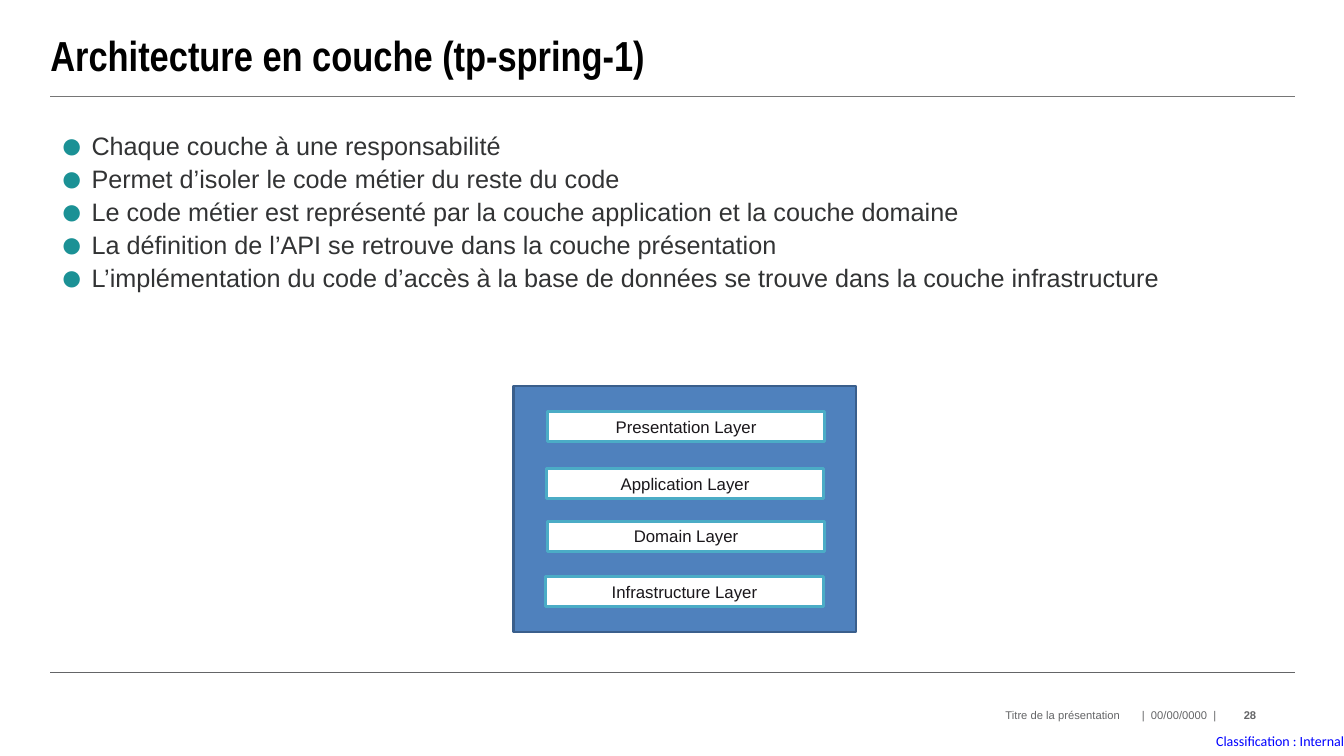
from dataclasses import dataclass

import pptx
import pptx.dml.color
import pptx.enum.shapes
import pptx.enum.text
import pptx.oxml
import pptx.oxml.ns
import pptx.slide
import pptx.text.text
import pptx.util

RGBColor = pptx.dml.color.RGBColor
ALIGN = pptx.enum.text.PP_ALIGN
ANCHOR = pptx.enum.text.MSO_ANCHOR

PX = 9144  # 100 px to the inch

BLACK = RGBColor(0x00, 0x00, 0x00)
WHITE = RGBColor(0xFF, 0xFF, 0xFF)
BODY_INK = RGBColor(0x32, 0x33, 0x34)
LAYER_INK = RGBColor(0x1A, 0x17, 0x1B)
FOOTER_GREY = RGBColor(0x64, 0x65, 0x67)
TITLE_RULE = RGBColor(0x76, 0x76, 0x76)
LINK_BLUE = RGBColor(0x00, 0x00, 0xFF)
TEAL = RGBColor(0x1B, 0x91, 0x95)
STACK_FILL = RGBColor(0x4F, 0x81, 0xBD)
STACK_LINE = RGBColor(0x3A, 0x5F, 0x8C)
LAYER_LINE = RGBColor(0x4B, 0xAC, 0xC6)


@dataclass(frozen=True)
class Box:
    left: int
    top: int
    width: int
    height: int

    def emu(self) -> tuple[int, ...]:
        return tuple(n * PX for n in (self.left, self.top, self.width, self.height))


@dataclass(frozen=True)
class Style:
    size: int
    color: RGBColor
    font: str = "Arial"
    bold: bool = False
    align: ALIGN = ALIGN.LEFT


@dataclass(frozen=True)
class Label:
    text: str
    box: Box
    style: Style


@dataclass(frozen=True)
class Rule:
    y: int
    color: RGBColor


FOOTER = Style(8, FOOTER_GREY, align=ALIGN.RIGHT)
BODY = Style(18, BODY_INK)
LAYER = Style(12, LAYER_INK, align=ALIGN.CENTER)

RULES = (Rule(667, FOOTER_GREY), Rule(96, TITLE_RULE))

LABELS = (
    Label("Architecture en couche (tp-spring-1)", Box(50, 13, 1234, 82),
          Style(30, BLACK, "Arial Narrow", True)),
    Label("Titre de la présentation", Box(817, 699, 294, 20), FOOTER),
    Label("|  00/00/0000  |", Box(1118, 699, 103, 20),
          Style(8, FOOTER_GREY, align=ALIGN.CENTER)),
    Label("28", Box(1220, 699, 26, 20),
          Style(8, FOOTER_GREY, bold=True, align=ALIGN.RIGHT)),
    Label("Classification : Internal", Box(1173, 721, 160, 29),
          Style(10, LINK_BLUE, "Calibri", align=ALIGN.RIGHT)),
)

BODY_BOX = Box(50, 124, 1234, 523)
POINTS = (
    "Chaque couche à une responsabilité",
    "Permet d’isoler le code métier du reste du code",
    "Le code métier est représenté par la couche application et la couche domaine",
    "La définition de l’API se retrouve dans la couche présentation",
    "L’implémentation du code d’accès à la base de données se trouve dans la couche infrastructure",
)

STACK_BOX = Box(509, 383, 340, 244)
LAYERS = (
    Label("Presentation Layer", Box(543, 408, 275, 30), LAYER),
    Label("Application Layer", Box(542, 465, 275, 30), LAYER),
    Label("Domain Layer", Box(543, 517, 275, 30), LAYER),
    Label("Infrastructure Layer", Box(541, 572, 276, 30), LAYER),
)


def write(paragraph: pptx.text.text._Paragraph, text: str, style: Style) -> None:
    paragraph.alignment = style.align
    run = paragraph.add_run()
    run.text = text
    values = {"name": style.font, "size": pptx.util.Pt(style.size), "bold": style.bold}
    for attribute, value in values.items():
        setattr(run.font, attribute, value)
    run.font.color.rgb = style.color


def fill_frame(frame: pptx.text.text.TextFrame, label: Label) -> None:
    """Write one centred line of text into a frame without margins."""
    values = {"word_wrap": True, "vertical_anchor": ANCHOR.MIDDLE, "margin_left": 0,
              "margin_top": 0, "margin_right": 0, "margin_bottom": 0}
    for attribute, value in values.items():
        setattr(frame, attribute, value)
    write(frame.paragraphs[0], label.text, label.style)


def add_label(slide: pptx.slide.Slide, label: Label) -> None:
    fill_frame(slide.shapes.add_textbox(*label.box.emu()).text_frame, label)


def add_rule(slide: pptx.slide.Slide, rule: Rule) -> None:
    line = slide.shapes.add_connector(
        pptx.enum.shapes.MSO_CONNECTOR.STRAIGHT,
        50 * PX, rule.y * PX, 1284 * PX, rule.y * PX)
    line.line.color.rgb = rule.color
    line.line.width = pptx.util.Pt(1)
    properties = line._element.spPr
    properties.append(properties.makeelement(pptx.oxml.ns.qn("a:effectLst"), {}))


def add_rectangle(slide: pptx.slide.Slide, box: Box, fill: RGBColor,
                  outline: RGBColor) -> pptx.text.text.TextFrame:
    rectangle = slide.shapes.add_shape(
        pptx.enum.shapes.MSO_SHAPE.RECTANGLE, *box.emu())
    rectangle.shadow.inherit = False
    rectangle.fill.solid()
    rectangle.fill.fore_color.rgb = fill
    rectangle.line.color.rgb = outline
    rectangle.line.width = pptx.util.Pt(2)
    return rectangle.text_frame


def add_bullet(paragraph: pptx.text.text._Paragraph) -> None:
    properties = paragraph._p.get_or_add_pPr()
    properties.set("marL", str(31 * PX))
    properties.set("indent", str(-31 * PX))
    namespace = pptx.oxml.ns.nsdecls("a")
    for xml in (
        f'<a:buClr {namespace}><a:srgbClr val="{TEAL}"/></a:buClr>',
        f'<a:buSzPct {namespace} val="150000"/>',
        f'<a:buFont {namespace} typeface="Arial"/>',
        f'<a:buChar {namespace} char="●"/>',
    ):
        properties.append(pptx.oxml.parse_xml(xml))


def add_points(slide: pptx.slide.Slide) -> None:
    frame = slide.shapes.add_textbox(*BODY_BOX.emu()).text_frame
    frame.word_wrap = True
    for index, point in enumerate(POINTS):
        paragraph = frame.add_paragraph() if index else frame.paragraphs[0]
        if index:
            paragraph.space_before = pptx.util.Pt(2)
        add_bullet(paragraph)
        write(paragraph, point, BODY)


def main() -> None:
    deck = pptx.Presentation()
    deck.slide_width, deck.slide_height = 1333 * PX, 750 * PX
    slide = deck.slides.add_slide(deck.slide_layouts[6])

    # Title, footer and their rules
    for rule in RULES:
        add_rule(slide, rule)
    for label in LABELS:
        add_label(slide, label)

    # Bullet points
    add_points(slide)

    # Layer stack
    add_rectangle(slide, STACK_BOX, STACK_FILL, STACK_LINE)
    for layer in LAYERS:
        fill_frame(add_rectangle(slide, layer.box, WHITE, LAYER_LINE), layer)

    deck.save("out.pptx")


if __name__ == "__main__":
    main()
